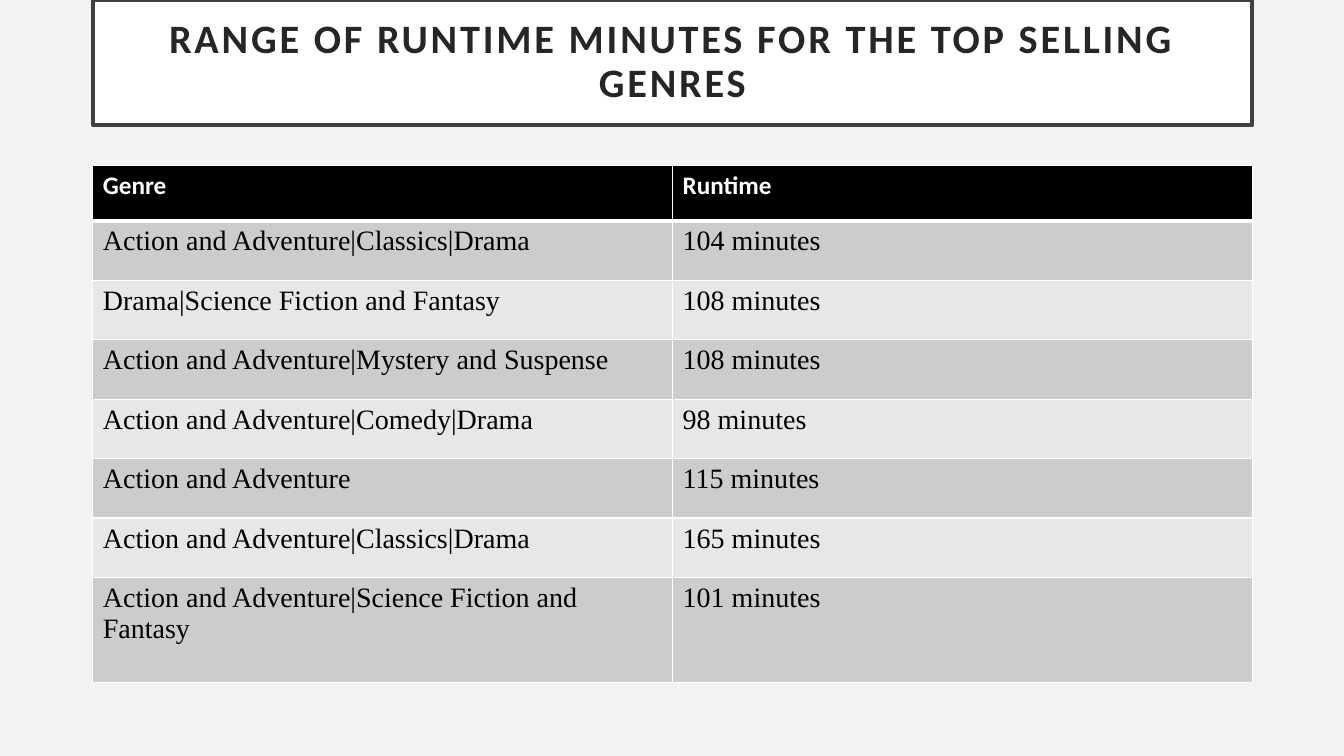
from dataclasses import dataclass

from lxml.etree import SubElement
from pptx import Presentation
from pptx.dml.color import RGBColor
from pptx.enum.text import MSO_ANCHOR, MSO_AUTO_SIZE, PP_ALIGN
from pptx.oxml.ns import qn
from pptx.util import Emu, Pt

EMU_PER_PX = 9144
LEFT, WIDTH = 92, 1150
TITLE_HEIGHT, TITLE_INSET = 124, 20
TABLE_TOP = 164
HEADER_HEIGHT, ROW_HEIGHT, LAST_ROW_HEIGHT = 55, 59, 104
TITLE = "RANGE OF RUNTIME MINUTES FOR THE TOP SELLING GENRES"
HEADER = ("Genre", "Runtime")


@dataclass(frozen=True)
class GenreRuntime:
    """A genre and its runtime in minutes."""
    genre: str
    minutes: int


@dataclass(frozen=True)
class TextStyle:
    """The look of a run of text."""
    font: str
    size: float
    color: str
    bold: bool


RUNTIMES = (
    GenreRuntime("Action and Adventure|Classics|Drama", 104),
    GenreRuntime("Drama|Science Fiction and Fantasy", 108),
    GenreRuntime("Action and Adventure|Mystery and Suspense", 108),
    GenreRuntime("Action and Adventure|Comedy|Drama", 98),
    GenreRuntime("Action and Adventure", 115),
    GenreRuntime("Action and Adventure|Classics|Drama", 165),
    GenreRuntime("Action and Adventure|Science Fiction and Fantasy", 101),
)
TITLE_STYLE = TextStyle("Calibri", 28.8, "262626", True)
HEADER_STYLE = TextStyle("Calibri", 18, "FFFFFF", True)
BODY_STYLE = TextStyle("Times New Roman", 20, "000000", False)
BANDS = ("CCCCCC", "E7E7E7")


def px(n: int) -> Emu:
    """Turn px into EMU."""
    return Emu(n * EMU_PER_PX)


def rgb(color: str) -> RGBColor:
    """Turn a hex string into a colour."""
    return RGBColor.from_string(color)


def paint(target, color: str) -> None:
    """Give a shape, cell, line or background a solid fill."""
    target.fill.solid()
    target.fill.fore_color.rgb = rgb(color)


def style_run(r, style: TextStyle) -> None:
    """Apply a text style to a run."""
    r.font.name = style.font
    r.font.size = Pt(style.size)
    r.font.bold = style.bold
    r.font.color.rgb = rgb(style.color)


def add_title(slide) -> None:
    """Fill and format the framed title."""
    sp = slide.shapes.title
    sp.left, sp.top, sp.width, sp.height = px(LEFT), px(0), px(WIDTH), px(TITLE_HEIGHT)
    paint(sp, "FFFFFF")
    sp.line.color.rgb = rgb("404040")
    sp.line.width = Pt(2.5)
    tf = sp.text_frame
    tf.text = TITLE
    tf.word_wrap = True
    tf.auto_size = MSO_AUTO_SIZE.NONE
    tf.vertical_anchor = MSO_ANCHOR.MIDDLE
    tf.margin_left = tf.margin_right = tf.margin_top = tf.margin_bottom = px(TITLE_INSET)
    p = tf.paragraphs[0]
    p.alignment = PP_ALIGN.CENTER
    p.line_spacing = 0.9
    r = p.runs[0]
    style_run(r, TITLE_STYLE)
    r.font._element.set("spc", "200")


def add_borders(cell, top: float, bottom: float) -> None:
    """Draw white borders, with top and bottom widths in points."""
    tc_pr = cell._tc.get_or_add_tcPr()
    widths = {"a:lnL": 1, "a:lnR": 1, "a:lnT": top, "a:lnB": bottom}
    for i, (tag, width) in enumerate(widths.items()):
        ln = SubElement(tc_pr, qn(tag), w=str(Pt(width)))
        fill = SubElement(ln, qn("a:solidFill"))
        SubElement(fill, qn("a:srgbClr"), val="FFFFFF")
        tc_pr.insert(i, ln)


def add_runtime_table(slide) -> None:
    """Add the table of genres and runtimes."""
    rows = [HEADER] + [(g.genre, f"{g.minutes} minutes") for g in RUNTIMES]
    heights = [HEADER_HEIGHT] + [ROW_HEIGHT] * (len(RUNTIMES) - 1) + [LAST_ROW_HEIGHT]
    table = slide.shapes.add_table(len(rows), len(HEADER), px(LEFT), px(TABLE_TOP),
                                   px(WIDTH), px(sum(heights))).table
    for i, (texts, height) in enumerate(zip(rows, heights)):
        table.rows[i].height = px(height)
        for j, text in enumerate(texts):
            cell = table.cell(i, j)
            cell.text = text
            style_run(cell.text_frame.paragraphs[0].runs[0],
                      BODY_STYLE if i else HEADER_STYLE)
            paint(cell, BANDS[(i - 1) % 2] if i else "000000")
            add_borders(cell, top=3 if i == 1 else 1, bottom=1 if i else 3)


def main() -> None:
    """Build and save the slide."""
    prs = Presentation()
    prs.slide_width, prs.slide_height = px(1333), px(750)
    slide = prs.slides.add_slide(prs.slide_layouts.get_by_name("Title Only"))
    paint(slide.background, "F2F2F2")
    add_title(slide)
    add_runtime_table(slide)
    prs.save("out.pptx")


if __name__ == "__main__":
    main()
